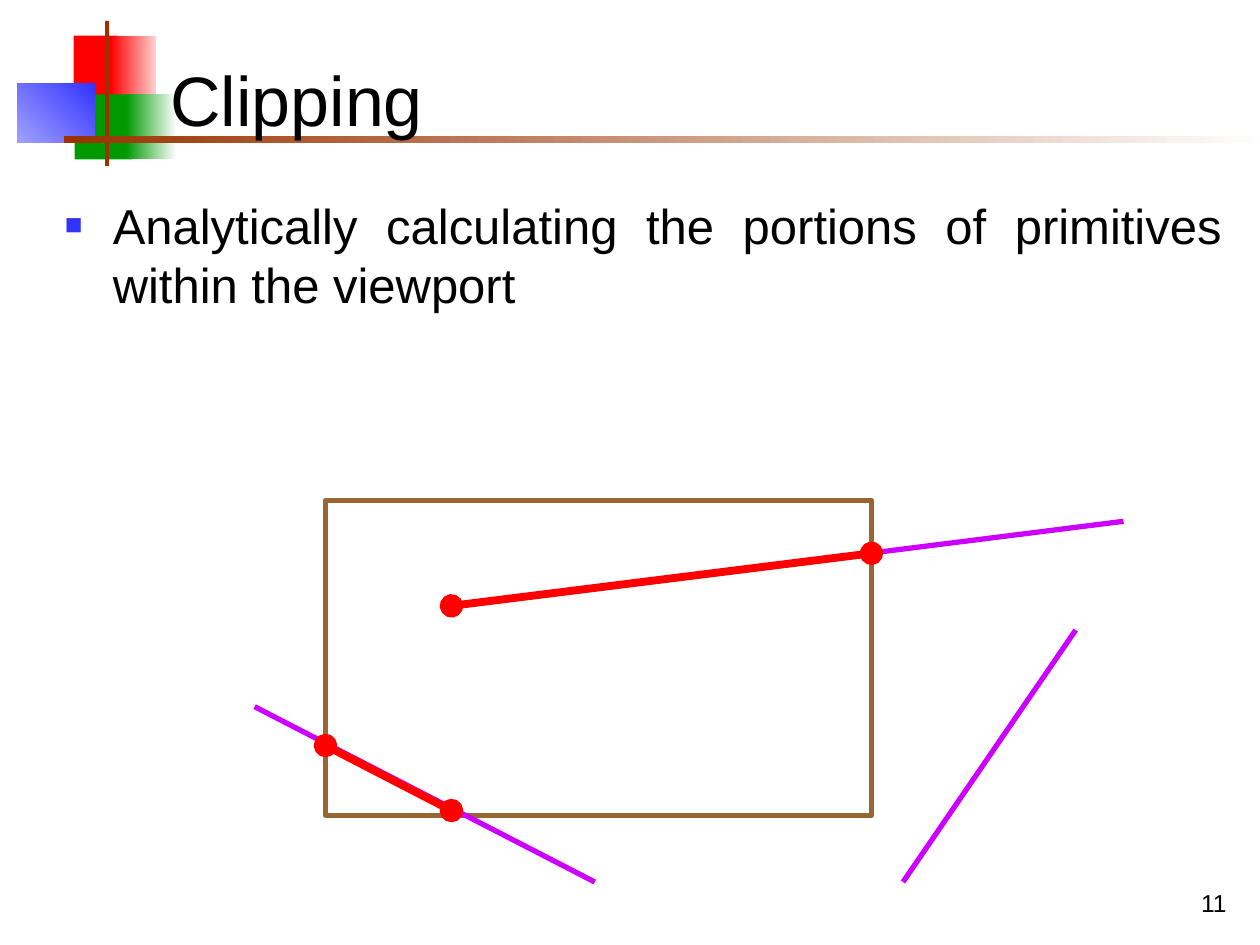
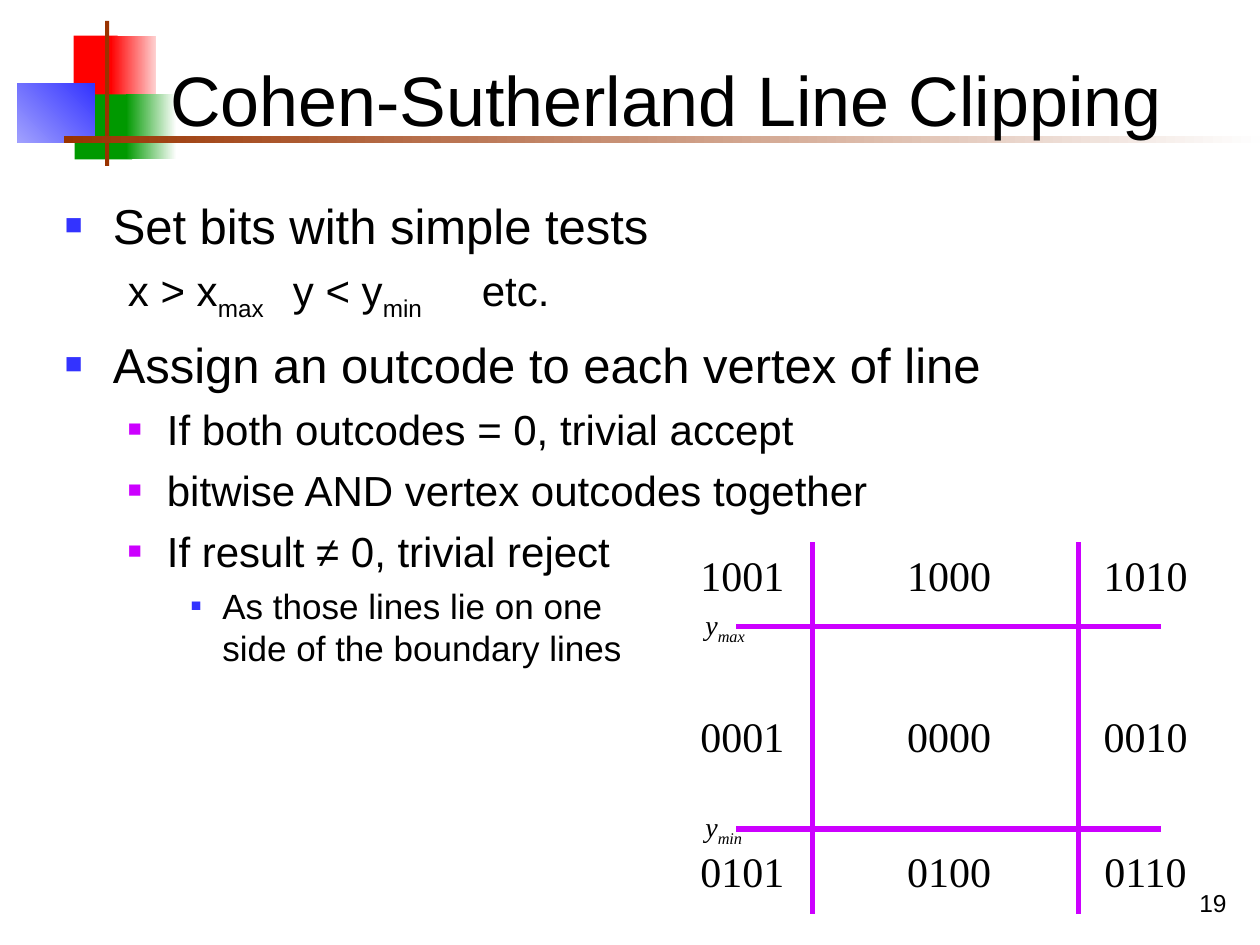
"""Build two lecture slides on line clipping."""
from lxml import etree
from pptx import Presentation
from pptx import util as u
from pptx.dml.color import RGBColor
from pptx.enum import shapes, text
from pptx.oxml.ns import qn

COLORS = {"black": "000000", "red": "FF0000", "pale red": "FED0D0", "green": "009900",
          "white": "FFFFFF", "blue": "3333FF", "pale blue": "A1A1FE", "rust": "993300",
          "mist": "FEFEFE", "brown": "996633", "purple": "CC00FF"}
RGB = {name: RGBColor.from_string(value) for name, value in COLORS.items()}
COLUMNS, ROWS = 120, 90
SANS, SERIF = "Arial", "Times New Roman"

presentation = Presentation()
presentation.slide_width, presentation.slide_height = u.Inches(10), u.Inches(7.5)
cell = presentation.slide_width // COLUMNS


def write(paragraph, content, size, font=SANS, italic=False):
    for number, line in enumerate(content.split("\v")):
        if number:
            paragraph.add_line_break()
        for position, part in enumerate(line.split("_")):
            run = paragraph.add_run()
            run.text = part
            run.font.size, run.font.name, run.font.italic = u.Pt(size), font, italic
            run.font.color.rgb = RGB["black"]
            if position % 2:
                run.font._element.set("baseline", "-25000")


def add_text(slide, box, anchor, alignment):
    shape = slide.shapes.add_textbox(*[u.Emu(int(cell * value)) for value in box])
    frame = shape.text_frame
    frame.word_wrap, frame.vertical_anchor = True, anchor
    frame.paragraphs[0].alignment = alignment
    return frame


layout = presentation.slide_layouts[5]
slides = []
for title, page in [("Clipping", 11), ("Cohen-Sutherland Line Clipping", 19)]:
    slide = presentation.slides.add_slide(layout)
    slides.append(slide)
    shape = slide.shapes.title
    shape.left, shape.top, shape.width, shape.height = [
        u.Emu(int(cell * value)) for value in (15, 3, 102.25, 11)]
    frame = shape.text_frame
    frame.auto_size, frame.vertical_anchor = text.MSO_AUTO_SIZE.NONE, text.MSO_ANCHOR.BOTTOM
    frame.paragraphs[0].alignment = text.PP_ALIGN.LEFT
    write(frame.paragraphs[0], title, 40)
    frame = add_text(slide, (93, 82, 25, 6), text.MSO_ANCHOR.BOTTOM, text.PP_ALIGN.RIGHT)
    write(frame.paragraphs[0], str(page), 14)
clipping, outcodes = slides

bands = [((7, 3.4, 4.2, 6.2), ["red"], 0),
         ((10.55, 3.4, 4.3, 6.2), ["pale red", "red"], 180),
         ((7.1, 9, 5.5, 6.2), ["green"], 0),
         ((12, 9, 4.8, 6.2), ["white", "green"], 180),
         ((1.65, 7.95, 7.4, 5.6), ["blue", "pale blue"], 225),
         ((10, 2, 0.4, 13.8), ["rust"], 0),
         ((6.1, 12.95, 113.9, 0.65), ["mist", "rust"], 180)]
for number, (box, names, angle) in enumerate(bands):
    shape = clipping.shapes.add_shape(shapes.MSO_SHAPE.RECTANGLE,
                                      *[u.Emu(int(cell * value)) for value in box])
    shape.shadow.inherit = False
    shape.line.fill.background()
    if len(names) == 1:
        shape.fill.solid()
        shape.fill.fore_color.rgb = RGB[names[0]]
    else:
        shape.fill.gradient()
        shape.fill.gradient_angle = angle
        for stop, name, position in zip(shape.fill.gradient_stops, names, (0, 1)):
            stop.color.rgb, stop.position = RGB[name], position
    shape._element.nvSpPr.cNvPr.set("id", str(100 + number))
    layout.shapes._spTree.insert(2 + number, shape._element)

viewport = clipping.shapes.add_shape(shapes.MSO_SHAPE.RECTANGLE,
                                     *[u.Emu(int(cell * value)) for value in (31, 47.65, 52, 30)])
viewport.shadow.inherit = False
viewport.fill.background()
viewport.line.color.rgb, viewport.line.width = RGB["brown"], u.Pt(3)

x_bounds, y_bounds = (77.4, 102.7), (59.65, 78.95)
lines = [(clipping, (43, 57.7, 107, 49.65), False),
         (clipping, (24.25, 67.3, 56.65, 84), False),
         (clipping, (86, 84, 102.45, 60), False),
         (clipping, (43, 57.7, 83, 52.7), True),
         (clipping, (31, 71, 43, 77.2), True)]
lines += [(outcodes, (70.1, y, 110.6, y), False) for y in y_bounds]
lines += [(outcodes, (x, 87, x, 51.6), False) for x in x_bounds]
for slide, ends, visible in lines:
    line = slide.shapes.add_connector(shapes.MSO_CONNECTOR.STRAIGHT,
                                      *[u.Emu(int(cell * value)) for value in ends])
    line.line.color.rgb = RGB["red" if visible else "purple"]
    line.line.width = u.Pt(4.5 if visible else 3)
    if visible:
        for tag in ("a:headEnd", "a:tailEnd"):
            etree.SubElement(line.line._ln, qn(tag), type="oval")
    etree.SubElement(line._element.spPr, qn("a:effectLst"))

levels = [{"size": 28, "margin": 0.38, "hang": 0.38, "before": 7, "color": "blue", "bullet": 60},
          {"size": 24, "margin": 0.81, "hang": 0.31, "before": 6, "color": "purple", "bullet": 55},
          {"size": 20, "margin": 1.25, "hang": 0.25, "before": 5, "color": "blue", "bullet": 50}]
bodies = [(clipping, [(0, "Analytically calculating the portions of primitives within the viewport")]),
          (outcodes, [(0, "Set bits with simple tests"),
                      (1, "x > x_max_\ty < y_min_\tetc."),
                      (0, "Assign an outcode to each vertex of line"),
                      (1, "If both outcodes = 0, trivial accept"),
                      (1, "bitwise AND vertex outcodes together"),
                      (1, "If result ≠ 0, trivial reject"),
                      (2, "As those lines lie on one\vside of the boundary lines")])]
for slide, items in bodies:
    frame = add_text(slide, (5, 18, 112.5, 69), text.MSO_ANCHOR.TOP, None)
    for number, (level, content) in enumerate(items):
        paragraph = frame.add_paragraph() if number else frame.paragraphs[0]
        style = levels[level]
        paragraph.level = level
        paragraph.alignment = text.PP_ALIGN.LEFT if level == 2 else text.PP_ALIGN.JUSTIFY
        paragraph.space_before = u.Pt(style["before"])
        write(paragraph, content, style["size"])
        properties = paragraph._p.get_or_add_pPr()
        properties.set("marL", str(u.Inches(style["margin"])))
        properties.set("indent", str(-u.Inches(style["hang"])))
        if "\t" in content:
            etree.SubElement(properties, qn("a:buNone"))
            tabs = etree.SubElement(properties, qn("a:tabLst"))
            for stop in (1.27, 3):
                etree.SubElement(tabs, qn("a:tab"), pos=str(u.Inches(stop)), algn="l")
        else:
            color = etree.SubElement(properties, qn("a:buClr"))
            etree.SubElement(color, qn("a:srgbClr"), val=COLORS[style["color"]])
            etree.SubElement(properties, qn("a:buSzPct"), val=str(style["bullet"] * 1000))
            etree.SubElement(properties, qn("a:buFont"), typeface=SANS)
            etree.SubElement(properties, qn("a:buChar"), char="■")

for top, row_bits in [(51.7, "10"), (67.05, "00"), (79.95, "01")]:
    for center, column_bits in [(70.7, "01"), (90.4, "00"), (109.1, "10")]:
        frame = add_text(outcodes, (center - 6, top, 12, 6),
                         text.MSO_ANCHOR.MIDDLE, text.PP_ALIGN.CENTER)
        write(frame.paragraphs[0], row_bits + column_bits, 24, SERIF)
for y, bound in zip(y_bounds, ("max", "min")):
    frame = add_text(outcodes, (66, y - 2.4, 8, 5), text.MSO_ANCHOR.TOP, text.PP_ALIGN.LEFT)
    write(frame.paragraphs[0], f"y_{bound}_", 16, SERIF, italic=True)

for slide in slides:
    for run in [run for shape in slide.shapes if shape.has_text_frame
                for paragraph in shape.text_frame.paragraphs for run in paragraph.runs]:
        if not run.text:
            run._r.getparent().remove(run._r)

presentation.save("out.pptx")
